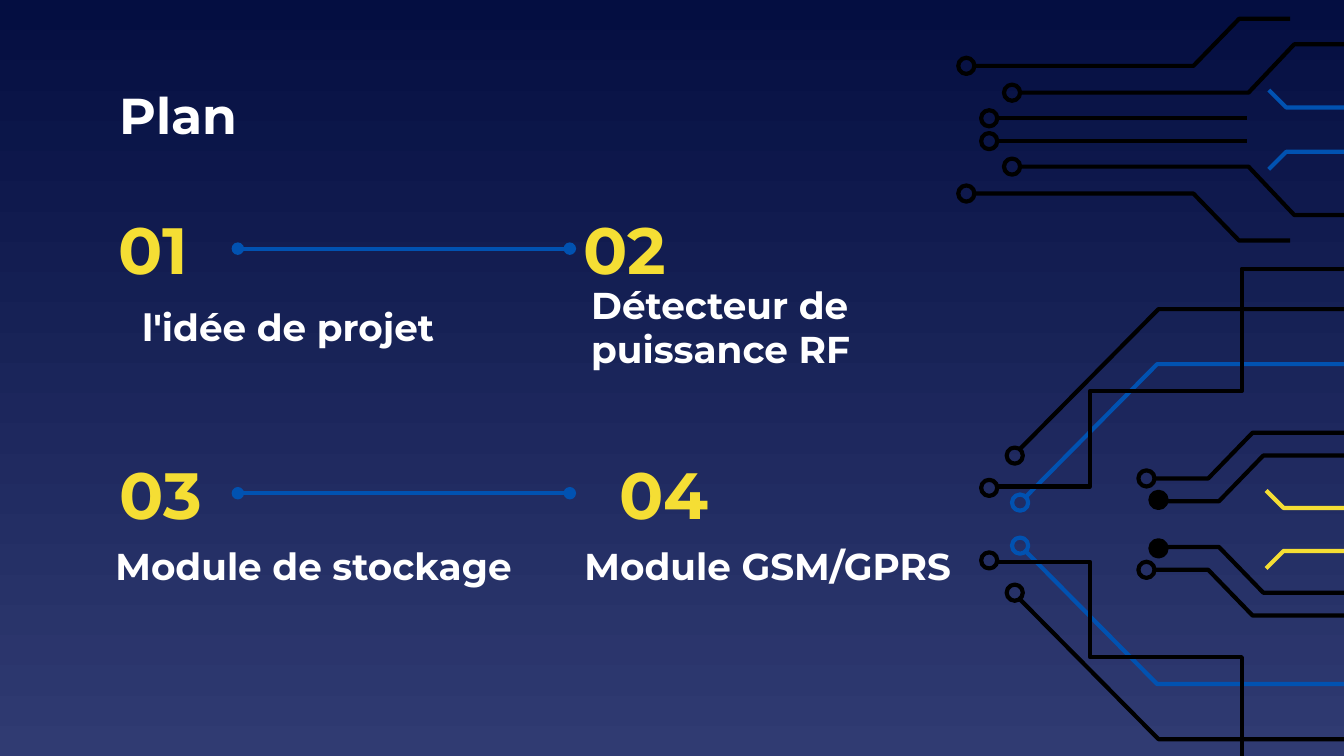
from dataclasses import dataclass

from lxml.etree import SubElement
from pptx import Presentation
from pptx.dml.color import RGBColor as RGB
from pptx.enum.shapes import MSO_CONNECTOR as CONN, MSO_SHAPE as SHAPE
from pptx.enum.text import MSO_ANCHOR as ANCHOR, MSO_AUTO_SIZE as AUTO, PP_ALIGN as ALIGN
from pptx.oxml.ns import qn
from pptx.util import Emu, Pt

SCALE = 9144


@dataclass(frozen=True)
class Theme:
    font: str = "Montserrat"
    top: RGB = RGB.from_string("040E41")
    bottom: RGB = RGB.from_string("303B72")
    white: RGB = RGB.from_string("FFFFFF")
    yellow: RGB = RGB.from_string("F5DE34")
    blue: RGB = RGB.from_string("0152B1")
    black: RGB = RGB.from_string("000000")
    title: int = 27
    number: int = 35
    label: int = 20
    stroke: float = 2.25


T = Theme()
RING = 12

BUS = [
    (T.black, (0, 30), False, [(11, 36), (175, 36), (209, 1), (247, 1)]),
    (T.black, (34, 50), False, [(45, 56), (216, 56), (250, 20), (312, 20)]),
    (T.black, (17, 69), False, [(28, 75), (215, 75)]),
    (T.blue, None, False, [(231, 54), (244, 67), (300, 67)]),
]
WEB = [
    (T.blue, (23, 168), False, [(32, 171), (131, 71), (289, 71)]),
    (T.black, (0, 157), False,
     [(11, 162), (81, 162), (81, 91), (194, 91), (194, 0), (290, 0)]),
    (T.black, (19, 133), False, [(28, 135), (132, 30), (290, 30)]),
]
PINS = [
    (T.black, (11, 44), True, [(21, 51), (62, 51), (95, 17), (175, 17)]),
    (T.black, (2, 28), False, [(13, 34), (54, 34), (87, 0), (175, 0)]),
]
TIPS = [(T.yellow, None, False, [(0, 1), (13, 14), (69, 14)])]


def px(*values):
    return [Emu(v * SCALE) for v in values]


def set_text(sp, text, size, color):
    tf = sp.text_frame
    tf.text = text
    tf.word_wrap = True
    tf.auto_size = AUTO.NONE
    tf.vertical_anchor = ANCHOR.MIDDLE
    tf.margin_left, tf.margin_top, tf.margin_right, tf.margin_bottom = px(10, 10, 10, 10)
    p = tf.paragraphs[0]
    p.alignment = ALIGN.LEFT
    font = p.runs[0].font
    font.name, font.size, font.bold = T.font, Pt(size), True
    font.color.rgb = color


def set_outline(sp, color, filled=False):
    sp.shadow.inherit = False
    if filled:
        sp.fill.solid()
        sp.fill.fore_color.rgb = color
    else:
        sp.fill.background()
    sp.line.color.rgb = color
    sp.line.width = Pt(T.stroke)


def add_trace(s, color, points):
    start, *rest = points
    builder = s.shapes.build_freeform(*start, scale=SCALE)
    builder.add_line_segments(rest, close=False)
    set_outline(builder.convert_to_shape(), color)


def add_circuit(s, x, y, h, traces):
    for mirrored in (False, True):
        for color, ring, filled, points in traces:
            add_trace(s, color, [(x + a, y + (h - b if mirrored else b)) for a, b in points])
            if ring:
                a, b = ring
                top = h - b - RING if mirrored else b
                sp = s.shapes.add_shape(SHAPE.OVAL, *px(x + a, y + top, RING, RING))
                set_outline(sp, color, filled)


def add_item(s, x, y, number, label, number_dx, label_dx, label_dy, label_w):
    sp = s.shapes.add_textbox(*px(x + number_dx, y, 99, 58))
    set_text(sp, number, T.number, T.yellow)
    sp = s.shapes.add_textbox(*px(x + label_dx, y + label_dy, label_w, 52))
    set_text(sp, label, T.label, T.white)


def add_link(s, x, y, w):
    sp = s.shapes.add_connector(CONN.STRAIGHT, *px(x, y, x + w, y))
    sp.line.color.rgb = T.blue
    sp.line.width = Pt(T.stroke)
    ln = sp.line._get_or_add_ln()
    for end in ("a:headEnd", "a:tailEnd"):
        SubElement(ln, qn(end), type="oval")
    SubElement(sp._element.spPr, qn("a:effectLst"))


def add_title(s, x, y, w, h, text):
    sp = s.shapes.title
    sp.left, sp.top, sp.width, sp.height = px(x, y, w, h)
    set_text(sp, text, T.title, T.white)


def set_background(s):
    fill = s.background.fill
    fill.gradient()
    fill.gradient_angle = 270
    for stop, color, position in zip(fill.gradient_stops, (T.top, T.bottom), (0, 1)):
        stop.color.rgb = color
        stop.position = position


def build_plan(prs):
    s = prs.slides.add_slide(prs.slide_layouts[5])
    set_background(s)
    add_circuit(s, 845, 322, 136, PINS)
    add_circuit(s, 942, 364, 60, TIPS)
    add_circuit(s, 730, 200, 380, WEB)
    add_circuit(s, 713, 13, 167, BUS)
    add_title(s, 79, 59, 587, 52, "Plan")
    left, right, row1, row2 = 76, 424, 156, 338
    add_item(s, left, row1, "01", "l'idée de projet", 2, 20, 61, 264)
    add_item(s, right, row1, "02", "Détecteur de puissance RF", 0, 6, 61, 241)
    add_item(s, left, row2, "03", "Module de stockage", 3, 0, 57, 316)
    add_item(s, right, row2, "04", "Module GSM/GPRS", 27, 1, 57, 295)
    for y in (row1, row2):
        add_link(s, 177, y + 29, 247)


def main():
    prs = Presentation()
    prs.slide_width, = px(1000)
    prs.slide_height = Emu(prs.slide_width * 9 // 16)
    build_plan(prs)
    prs.save("out.pptx")


if __name__ == "__main__":
    main()
